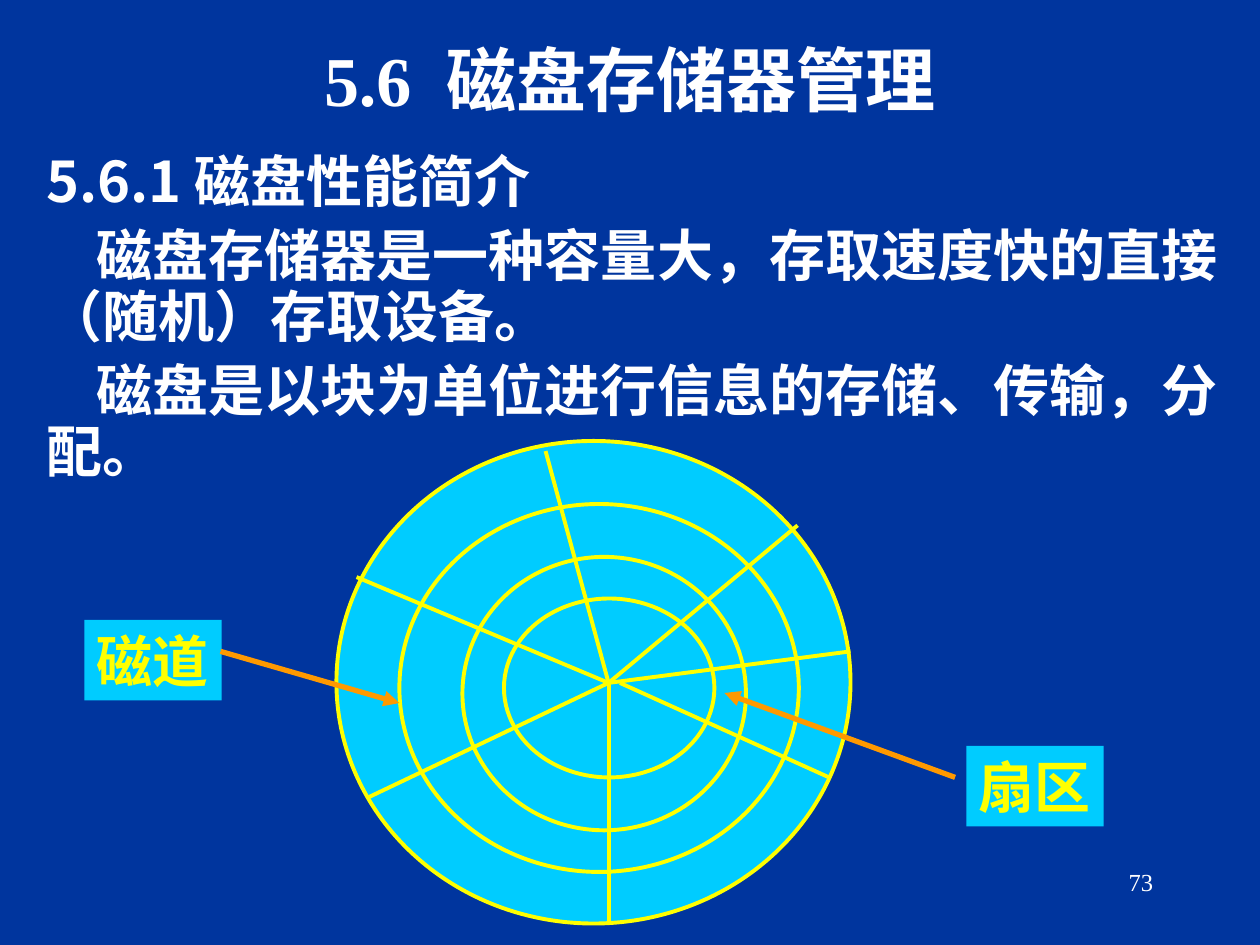
from lxml.etree import SubElement
from pptx import Presentation
from pptx.dml.color import RGBColor
from pptx.enum.shapes import MSO_CONNECTOR, MSO_SHAPE
from pptx.enum.text import MSO_ANCHOR, PP_ALIGN
from pptx.oxml.ns import qn
from pptx.util import Pt

PX = 9144
NAVY = RGBColor(0x00, 0x35, 0x9E)
WHITE = RGBColor(0xFF, 0xFF, 0xFF)
CYAN = RGBColor(0x00, 0xCC, 0xFF)
YELLOW = RGBColor(0xFF, 0xFF, 0x00)
ORANGE = RGBColor(0xFF, 0x99, 0x00)
SERIF = "Times New Roman"
SANS = "Noto Sans CJK SC"


def emu(*sizes):
    return [size * PX for size in sizes]


def style(para, size, color, face=SERIF, bold=True):
    font = para.font
    font.name, font.size, font.bold = face, Pt(size), bold
    font.color.rgb = color


def add_text(slide, box, text, size, align, bold=True):
    frame = slide.shapes.add_textbox(*emu(*box)).text_frame
    frame.word_wrap = True
    para = frame.paragraphs[0]
    para.text, para.alignment = text, align
    style(para, size, WHITE, bold=bold)
    return frame


def add_title(slide, box):
    frame = add_text(slide, box, "5.6  磁盘存储器管理", 40, PP_ALIGN.CENTER)
    frame.vertical_anchor = MSO_ANCHOR.MIDDLE


def add_body(slide, box):
    frame = slide.shapes.add_textbox(*emu(*box)).text_frame
    frame.word_wrap = True
    lines = [
        ("5.6.1 磁盘性能简介", 0),
        ("磁盘存储器是一种容量大，存取速度快的直接（随机）存取设备。", 40),
        ("磁盘是以块为单位进行信息的存储、传输，分配。", 40),
    ]
    for i, (text, indent) in enumerate(lines):
        para = frame.add_paragraph() if i else frame.paragraphs[0]
        para.text, para.line_spacing = text, 0.9
        if i:
            para.space_before = Pt(8)
            para._p.get_or_add_pPr().set("indent", str(indent * PX))
        style(para, 32, WHITE, SANS)


def add_line(slide, start, end, color, width, arrow=False):
    line = slide.shapes.add_connector(
        MSO_CONNECTOR.STRAIGHT, *emu(*start, *end))
    line.line.color.rgb, line.line.width = color, Pt(width)
    if arrow:
        SubElement(line.line._get_or_add_ln(), qn("a:tailEnd"), type="triangle")
    SubElement(line._element.spPr, qn("a:effectLst"))


def add_shape(slide, kind, box):
    shape = slide.shapes.add_shape(kind, *emu(*box))
    shape.shadow.inherit = False
    shape.fill.solid()
    shape.fill.fore_color.rgb = CYAN
    return shape


def add_disk(slide, left, top, width, height):
    rings = [(0, 0, width, height), (50, 50, 317, 292),
             (100, 92, 225, 217), (133, 125, 167, 142)]
    for x, y, w, h in rings:
        ring = add_shape(slide, MSO_SHAPE.OVAL, (left + x, top + y, w, h))
        ring.line.color.rgb, ring.line.width = YELLOW, Pt(2.25)
    hub = (216, 192)
    spokes = [(hub, (366, 67)), ((225, 192), (391, 267)),
              (hub, (216, 383)), (hub, (25, 283)), (hub, (166, 8)),
              (hub, (16, 108)), (hub, (408, 167))]
    for (ax, ay), (bx, by) in spokes:
        add_line(slide, (left + ax, top + ay), (left + bx, top + by),
                 YELLOW, 2.25)


def add_label(slide, box, text, start, end):
    left, top = box[:2]
    label = add_shape(slide, MSO_SHAPE.RECTANGLE, box)
    label.line.fill.background()
    frame = label.text_frame
    frame.word_wrap = False
    frame.vertical_anchor = MSO_ANCHOR.MIDDLE
    para = frame.paragraphs[0]
    para.text, para.alignment = text, PP_ALIGN.LEFT
    style(para, 32, YELLOW)
    add_line(slide, (left + start[0], top + start[1]),
             (left + end[0], top + end[1]), ORANGE, 3, True)


def main():
    deck = Presentation()
    deck.slide_width, deck.slide_height = emu(1000, 750)
    slide = deck.slides.add_slide(deck.slide_layouts[6])
    slide.background.fill.solid()
    slide.background.fill.fore_color.rgb = NAVY
    add_title(slide, (75, 0, 850, 125))
    add_body(slide, (27, 117, 973, 292))
    add_disk(slide, 267, 350, 408, 383)
    add_label(slide, (67, 492, 109, 64), "磁道", (108, 25), (250, 66))
    add_label(slide, (767, 592, 109, 64), "扇区", (-9, 25), (-192, -42))
    add_text(slide, (717, 683, 208, 50), "73", 14, PP_ALIGN.RIGHT, False)
    deck.save("out.pptx")


if __name__ == "__main__":
    main()
